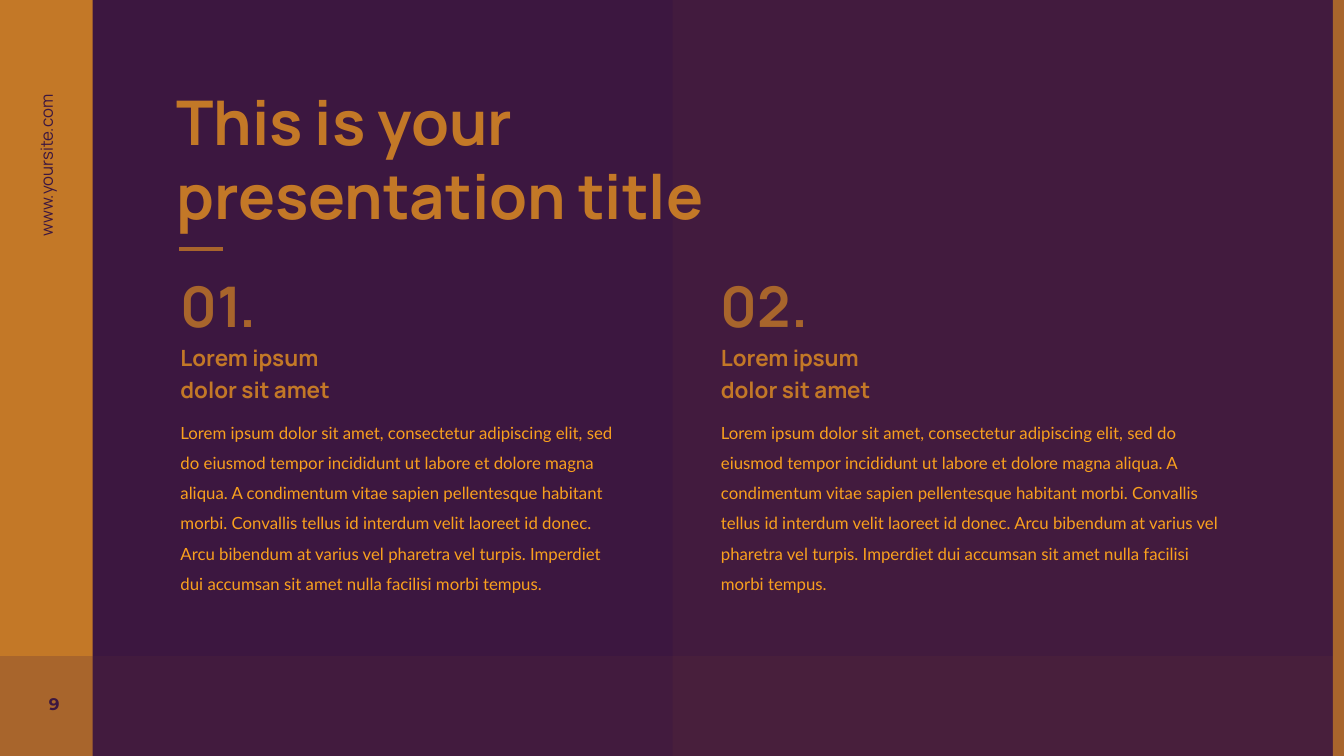
import pptx
import pptx.util
import pptx.dml.color
import pptx.enum.shapes
import pptx.enum.text
import pptx.oxml
import pptx.oxml.ns
from lxml import etree

Inches = pptx.util.Inches
ALIGN = pptx.enum.text.PP_ALIGN
ANCHOR = pptx.enum.text.MSO_ANCHOR
COLORS = {"plum": "3C1740", "ochre": "C37827", "bronze": "A8652C", "amber": "F9A01E"}

deck = pptx.Presentation()
deck.slide_width, deck.slide_height = Inches(13.33), Inches(7.5)
slide = deck.slides.add_slide(deck.slide_layouts[6])


def rgb(color):
    return pptx.dml.color.RGBColor.from_string(COLORS[color])


def add_text(box, text, size, font, color, bold=False, spacing=None,
             align=ALIGN.LEFT, inset=0, anchor=ANCHOR.TOP, grow=True):
    textbox = slide.shapes.add_textbox(*map(Inches, box))
    frame = textbox.text_frame
    frame.word_wrap = True
    frame.vertical_anchor = anchor
    if grow:
        frame.auto_size = pptx.enum.text.MSO_AUTO_SIZE.SHAPE_TO_FIT_TEXT
    frame.margin_left = frame.margin_right = Inches(inset)
    frame.margin_top = frame.margin_bottom = Inches(inset / 2)
    frame.text = text
    for paragraph in frame.paragraphs:
        paragraph.alignment = align
        paragraph.line_spacing = spacing
        for run in paragraph.runs:
            run.font.size = pptx.util.Pt(size)
            run.font.name = font
            run.font.bold = bold
            run.font.color.rgb = rgb(color)
    return textbox


# Background and colour panels
slide.background.fill.solid()
slide.background.fill.fore_color.rgb = rgb("plum")

panels = [
    ((0, 6.51, 13.33, 0.99), "ochre", 5),    # footer tint
    ((0, 0, 0.92, 6.51), "ochre", 100),      # sidebar
    ((0, 6.51, 0.92, 0.99), "bronze", 100),  # page number corner
    ((6.67, 0, 6.85, 7.5), "ochre", 5),      # right half tint
    ((13.22, 0, 0.11, 7.5), "bronze", 100),  # right edge
]
for box, color, opacity in panels:
    panel = slide.shapes.add_shape(
        pptx.enum.shapes.MSO_SHAPE.RECTANGLE, *map(Inches, box))
    panel.shadow.inherit = False
    panel.line.fill.background()
    panel.fill.solid()
    panel.fill.fore_color.rgb = rgb(color)
    if opacity < 100:
        fill_color = panel.fill._xPr.find(".//" + pptx.oxml.ns.qn("a:srgbClr"))
        alpha = etree.SubElement(fill_color, pptx.oxml.ns.qn("a:alpha"))
        alpha.set("val", str(opacity * 1000))

# Sidebar text
add_text((0.24, 6.78, 0.45, 0.4), "9", 12, "Montserrat", "plum", bold=True,
         align=ALIGN.RIGHT, inset=0.1, anchor=ANCHOR.MIDDLE, grow=False)
site = add_text((-0.92, 2.07, 2.76, 0.3), "www.yoursite.com", 12, "Manrope",
                "plum", align=ALIGN.RIGHT, inset=0.1)
site.rotation = 270

# Title with its short rule
add_text((1.65, 0.78, 7.27, 1.58), "This is your presentation title", 44,
         "Manrope", "ochre", bold=True, inset=0.1)
title_rule = slide.shapes.add_connector(
    pptx.enum.shapes.MSO_CONNECTOR.STRAIGHT,
    Inches(1.78), Inches(2.47), Inches(2.21), Inches(2.47))
title_rule.line.color.rgb = rgb("bronze")
title_rule.line.width = pptx.util.Pt(3)
etree.SubElement(title_rule._element.spPr, pptx.oxml.ns.qn("a:effectLst"))

# Two numbered columns
body = (
    "Lorem ipsum dolor sit amet, consectetur adipiscing elit, sed do eiusmod "
    "tempor incididunt ut labore et dolore magna aliqua. A condimentum vitae "
    "sapien pellentesque habitant morbi. Convallis tellus id interdum velit "
    "laoreet id donec. Arcu bibendum at varius vel pharetra vel turpis. "
    "Imperdiet dui accumsan sit amet nulla facilisi morbi tempus."
)
for number, left, body_width in [("01.", 1.79, 4.4), ("02.", 7.15, 4.95)]:
    add_text((left, 2.56, 1.08, 0.76), number, 40, "Manrope", "bronze",
             bold=True, spacing=1.2)
    add_text((left, 3.36, 2.96, 0.62), "Lorem ipsum\ndolor sit amet", 16,
             "Manrope", "ochre", bold=True, spacing=1.2)
    add_text((left, 4.09, body_width, 1.78), body, 12, "Lato", "amber",
             spacing=1.5)

deck.save("out.pptx")
